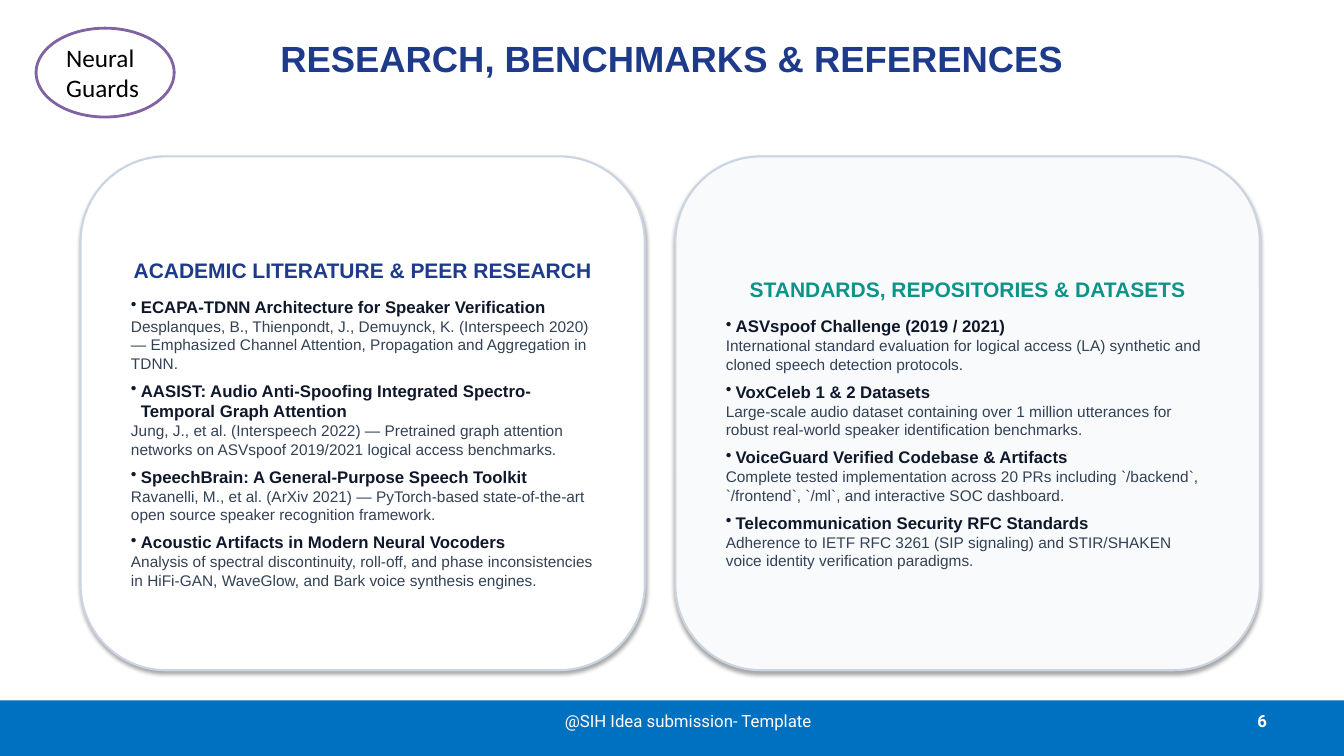
from collections import namedtuple

from lxml import etree
from pptx import Presentation
from pptx import util as u
from pptx.dml import color
from pptx.enum import shapes, text
from pptx.oxml import ns

Box = namedtuple("Box", "left top width height")

NAVY, TEAL, INK, SLATE, WHITE = "1E3A8A", "0D9488", "0F172A", "334155", "FFFFFF"
LEFT, CENTER, RIGHT = text.PP_ALIGN.LEFT, text.PP_ALIGN.CENTER, text.PP_ALIGN.RIGHT
BULLET_INDENT = u.Cm(0.25)

LITERATURE = [
    ("ECAPA-TDNN Architecture for Speaker Verification",
     "Desplanques, B., Thienpondt, J., Demuynck, K. (Interspeech 2020) — Emphasized "
     "Channel Attention, Propagation and Aggregation in TDNN."),
    ("AASIST: Audio Anti-Spoofing Integrated Spectro-Temporal Graph Attention",
     "Jung, J., et al. (Interspeech 2022) — Pretrained graph attention networks on "
     "ASVspoof 2019/2021 logical access benchmarks."),
    ("SpeechBrain: A General-Purpose Speech Toolkit",
     "Ravanelli, M., et al. (ArXiv 2021) — PyTorch-based state-of-the-art open source "
     "speaker recognition framework."),
    ("Acoustic Artifacts in Modern Neural Vocoders",
     "Analysis of spectral discontinuity, roll-off, and phase inconsistencies in "
     "HiFi-GAN, WaveGlow, and Bark voice synthesis engines."),
]
STANDARDS = [
    ("ASVspoof Challenge (2019 / 2021)",
     "International standard evaluation for logical access (LA) synthetic and cloned "
     "speech detection protocols."),
    ("VoxCeleb 1 & 2 Datasets",
     "Large-scale audio dataset containing over 1 million utterances for robust "
     "real-world speaker identification benchmarks."),
    ("VoiceGuard Verified Codebase & Artifacts",
     "Complete tested implementation across 20 PRs including `/backend`, `/frontend`, "
     "`/ml`, and interactive SOC dashboard."),
    ("Telecommunication Security RFC Standards",
     "Adherence to IETF RFC 3261 (SIP signaling) and STIR/SHAKEN voice identity "
     "verification paradigms."),
]


def rgb(value):
    return color.RGBColor.from_string(value)


def cm_box(box):
    return [u.Cm(length) for length in box]


def write(para, content, size=12, font="Arial", hue=INK, bold=False, align=LEFT,
          after=0, bullet=False):
    """Fill one paragraph; a line feed in the content becomes a line break."""
    if bullet:
        props = para._p.get_or_add_pPr()
        props.set("marL", str(BULLET_INDENT))
        props.set("indent", str(-BULLET_INDENT))
        etree.SubElement(props, ns.qn("a:buChar")).set("char", "•")
    for number, line in enumerate(content.split("\n")):
        if number:
            para.add_line_break()
        span = para.add_run()
        span.text = line
        span.font.size, span.font.name, span.font.bold = u.Pt(size), font, bold
        span.font.color.rgb = rgb(hue)
    para.alignment = align
    para.space_before, para.space_after = u.Pt(0), u.Pt(after)


def middle_frame(shape):
    frame = shape.text_frame
    frame.word_wrap = True
    frame.vertical_anchor = text.MSO_ANCHOR.MIDDLE
    return frame


def add_shadow(shape, hue, blur):
    """Cast a soft shadow straight down."""
    shape.shadow.inherit = False
    effects = shape._element.spPr.find(ns.qn("a:effectLst"))
    outer = etree.SubElement(effects, ns.qn("a:outerShdw"), blurRad=str(u.Pt(blur)),
                             dist=str(u.Pt(1.8)), dir="5400000", rotWithShape="0")
    tint = etree.SubElement(outer, ns.qn("a:srgbClr"), val=hue)
    etree.SubElement(tint, ns.qn("a:alpha"), val="35000")


def add_panel(page, kind, box, fill, line=None, weight=1.5):
    panel = page.shapes.add_shape(kind, *cm_box(box))
    panel.shadow.inherit = False
    panel.fill.solid()
    panel.fill.fore_color.rgb = rgb(fill)
    if line:
        panel.line.color.rgb = rgb(line)
        panel.line.width = u.Pt(weight)
    else:
        panel.line.fill.background()
    return panel


def add_label(page, box, content, **style):
    label = page.shapes.add_textbox(*cm_box(box))
    write(middle_frame(label).paragraphs[0], content, **style)


def add_footer(page, box):
    bar = add_panel(page, shapes.MSO_SHAPE.RECTANGLE, box, "0070C0")
    add_shadow(bar, "808080", 0)
    note = Box(box.left + 12.9, box.top, 8.89, 1.02)
    number = Box(box.left + box.width - 9.59, box.top, 7.9, 1.02)
    add_label(page, note, "@SIH Idea submission- Template", font="Roboto", hue=WHITE,
              align=CENTER)
    add_label(page, number, "6", font="Roboto", hue=WHITE, bold=True, align=RIGHT)


def add_title(page, box):
    title = page.shapes.title
    title.left, title.top, title.width, title.height = cm_box(box)
    write(middle_frame(title).paragraphs[0], "RESEARCH, BENCHMARKS & REFERENCES",
          size=26, hue=NAVY, bold=True, align=CENTER)


def add_team_badge(page, box):
    badge = add_panel(page, shapes.MSO_SHAPE.OVAL, box, WHITE, "8064A2", 2)
    write(middle_frame(badge).paragraphs[0], "Neural\nGuards", size=18,
          font="Calibri", hue="000000")


def add_reference_card(page, box, heading, hue, fill, references):
    card = add_panel(page, shapes.MSO_SHAPE.ROUNDED_RECTANGLE, box, fill, "CBD5E1")
    add_shadow(card, "000000", 3.1)
    frame = middle_frame(card)
    frame.margin_left = frame.margin_right = frame.margin_top = u.Cm(0.64)
    frame.margin_bottom = u.Cm(0.13)
    write(frame.paragraphs[0], heading, size=15, hue=hue, bold=True, align=CENTER,
          after=10)
    for name, detail in references:
        write(frame.add_paragraph(), name, bold=True, bullet=True)
        write(frame.add_paragraph(), detail, size=11, hue=SLATE, after=6)


def main():
    deck = Presentation()
    deck.slide_width, deck.slide_height = u.Cm(33.87), u.Cm(19.05)
    page = deck.slides.add_slide(deck.slide_layouts.get_by_name("Title Only"))
    add_footer(page, Box(0, 17.65, 33.87, 1.4))
    add_title(page, Box(1.7, -0.13, 30.48, 3.18))
    add_team_badge(page, Box(0.91, 0.71, 3.48, 2.24))
    add_reference_card(page, Box(2.03, 3.94, 14.22, 12.95),
                       "ACADEMIC LITERATURE & PEER RESEARCH", NAVY, WHITE, LITERATURE)
    add_reference_card(page, Box(17.02, 3.94, 14.73, 12.95),
                       "STANDARDS, REPOSITORIES & DATASETS", TEAL, "F8FAFC", STANDARDS)
    deck.save("out.pptx")


if __name__ == "__main__":
    main()
